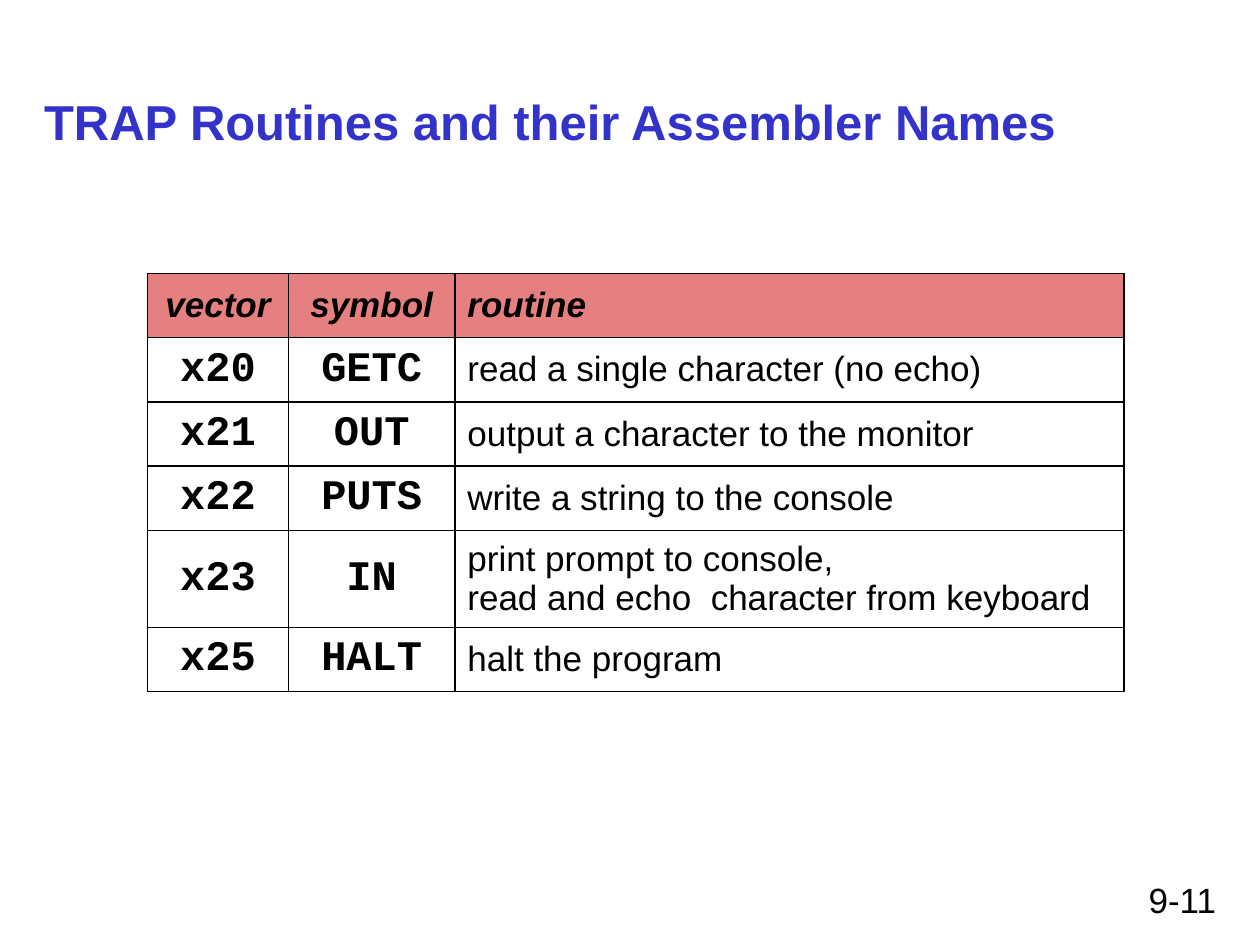
import lxml.etree
import pptx
import pptx.dml.color
import pptx.enum.text
import pptx.oxml
import pptx.oxml.ns
import pptx.util

PX = 9144
COLORS = {"title": "3333CC", "text": "000000", "border": "000000", "header": "CE0000"}
HEADINGS = ("vector", "symbol", "routine")
ROUTINES = (
    ("x20", "GETC", "read a single character (no echo)"),
    ("x21", "OUT", "output a character to the monitor"),
    ("x22", "PUTS", "write a string to the console"),
    ("x23", "IN", "print prompt to console,\vread and echo  character from keyboard"),
    ("x25", "HALT", "halt the program"),
)
COLUMN_WIDTHS = (112, 132, 531)
ROW_HEIGHT, TALL_ROW_HEIGHT = 51, 77
ALIGN = pptx.enum.text.PP_ALIGN
MIDDLE = pptx.enum.text.MSO_ANCHOR.MIDDLE


def scaled(*lengths):
    """Turn px lengths into EMU."""
    return [pptx.util.Emu(length * PX) for length in lengths]


def write(paragraph, text, size, face="Arial", color="text", align=ALIGN.LEFT, bold=False, italic=False):
    """Fill a paragraph with text in one format."""
    paragraph.text = text
    paragraph.alignment = align
    font = paragraph.font
    font.name, font.size, font.bold, font.italic = face, pptx.util.Pt(size), bold, italic
    font.color.rgb = pptx.dml.color.RGBColor.from_string(COLORS[color])


def add_borders(cell):
    """Draw a thin line on the four sides of a cell."""
    properties = cell._tc.get_or_add_tcPr()
    for side in ("lnL", "lnR", "lnT", "lnB"):
        properties.append(pptx.oxml.parse_xml(
            f'<a:{side} {pptx.oxml.ns.nsdecls("a")} w="{pptx.util.Pt(1)}"><a:solidFill>'
            f'<a:srgbClr val="{COLORS["border"]}"/></a:solidFill></a:{side}>'))


def fill_header(cell):
    """Give a cell the half-transparent header colour."""
    cell.fill.solid()
    cell.fill.fore_color.rgb = pptx.dml.color.RGBColor.from_string(COLORS["header"])
    tint = cell._tc.tcPr.find(pptx.oxml.ns.qn("a:solidFill"))[0]
    lxml.etree.SubElement(tint, pptx.oxml.ns.qn("a:alpha")).set("val", "50000")


def place_title(slide, left, top, width, height):
    """Move the title placeholder into its box and write the heading."""
    title = slide.shapes.title
    title.left, title.top, title.width, title.height = scaled(left, top, width, height)
    title.text_frame.vertical_anchor = MIDDLE
    write(title.text_frame.paragraphs[0], "TRAP Routines and their Assembler Names",
          28, color="title", bold=True)


def add_routine_table(slide, left, top):
    """Build the table of trap vectors, symbols and routines."""
    rows = (HEADINGS, *ROUTINES)
    heights = [TALL_ROW_HEIGHT if "\v" in row[-1] else ROW_HEIGHT for row in rows]
    box = scaled(left, top, sum(COLUMN_WIDTHS), sum(heights))
    table = slide.shapes.add_table(len(rows), len(HEADINGS), *box).table
    table.first_row = table.horz_banding = False
    for column, width in zip(table.columns, scaled(*COLUMN_WIDTHS)):
        column.width = width
    for row, height in zip(table.rows, scaled(*heights)):
        row.height = height
    for row_index, row in enumerate(rows):
        for column_index, text in enumerate(row):
            cell = table.cell(row_index, column_index)
            is_header, is_code = row_index == 0, column_index < 2
            cell.vertical_anchor = MIDDLE
            add_borders(cell)
            if is_header:
                fill_header(cell)
            else:
                cell.fill.background()
            mono = is_code and not is_header
            write(cell.text_frame.paragraphs[0], text, 24 if mono else 20,
                  "Courier New" if mono else "Arial",
                  align=ALIGN.CENTER if is_code else ALIGN.LEFT,
                  bold=is_header or is_code, italic=is_header)


def add_page_number(slide, left, top, width, height):
    """Write the page number at the right of its box."""
    page_number = slide.shapes.add_textbox(*scaled(left, top, width, height))
    page_number.text_frame.word_wrap = True
    write(page_number.text_frame.paragraphs[0], "9-11", 20, align=ALIGN.RIGHT)


def main():
    """Build the slide and save it."""
    presentation = pptx.Presentation()
    presentation.slide_width, presentation.slide_height = scaled(1000, 750)
    slide = presentation.slides.add_slide(presentation.slide_layouts[5])
    add_page_number(slide, 717, 692, 258, 42)
    place_title(slide, 25, 67, 950, 58)
    add_routine_table(slide, 117, 217)
    presentation.save("out.pptx")


if __name__ == "__main__":
    main()
